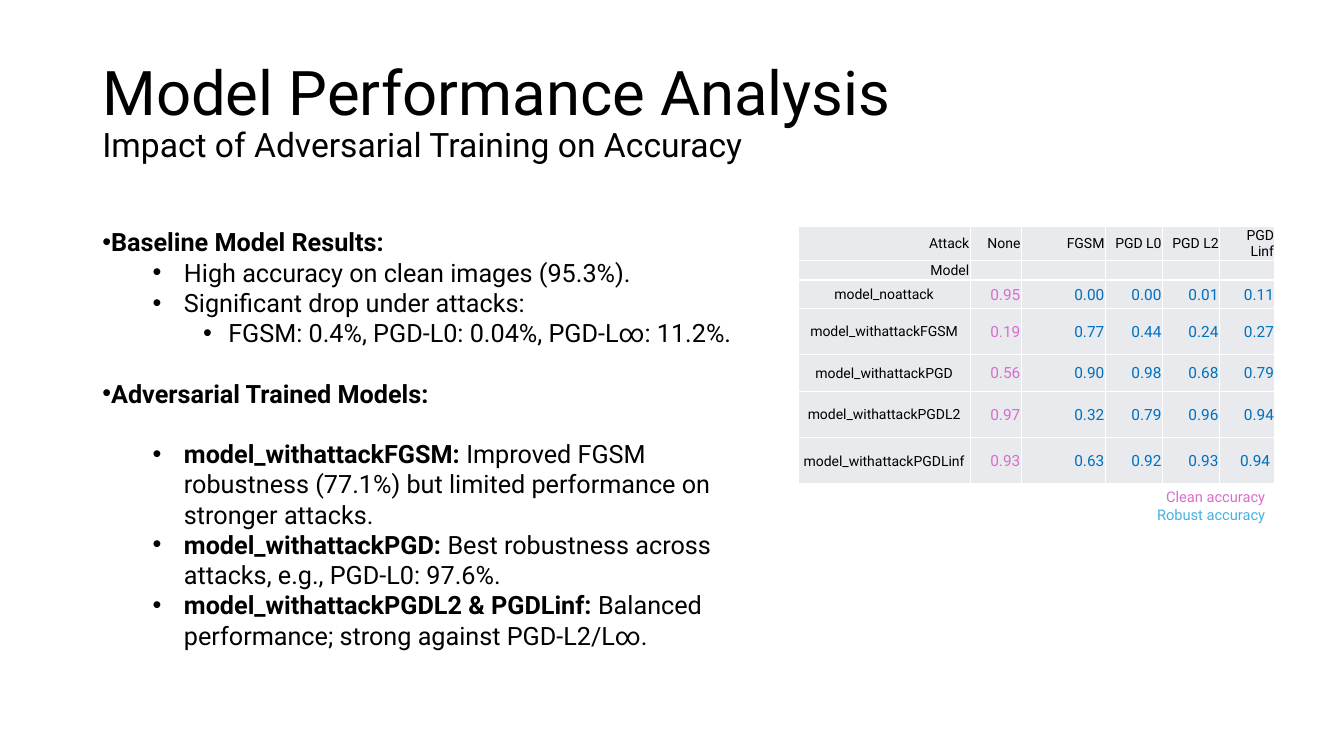
import lxml.etree
import pptx
import pptx.dml.color
import pptx.enum.text
import pptx.oxml.ns
import pptx.util

RGB = pptx.dml.color.RGBColor
ALIGN = pptx.enum.text.PP_ALIGN
ANCHOR = pptx.enum.text.MSO_ANCHOR
QN = pptx.oxml.ns.qn

BLACK = RGB(0x00, 0x00, 0x00)
WHITE = RGB(0xFF, 0xFF, 0xFF)
GREY = RGB(0xE8, 0xEA, 0xED)
PINK = RGB(0xD8, 0x6E, 0xCC)
BLUE = RGB(0x00, 0x70, 0xC0)
SKY = RGB(0x46, 0xB1, 0xE1)

# Grid of the slide
COLS, ROWS = 160, 90
LEFT, RIGHT, TOP = 11, 95, 26.4

# Left margin and first-line indent of each list level, in inches
INDENTS = [(0, 0), (0.81, -0.31), (1.25, -0.25)]

# Level, bold lead, plain text, points before, points after
POINTS = [
    (0, "Baseline Model Results:", "", 0, 0),
    (1, "", "High accuracy on clean images (95.3%).", 0, 0),
    (1, "", "Significant drop under attacks:", 0, 0),
    (2, "", "FGSM: 0.4%, PGD-L0: 0.04%, PGD-L∞: 11.2%.", 0, 0),
    (0, "Adversarial Trained Models:", "", 21.6, 21.6),
    (1, "model_withattackFGSM:", " Improved FGSM robustness (77.1%) but limited "
        "performance on stronger attacks.", 0, 0),
    (1, "model_withattackPGD:",
        " Best robustness across attacks, e.g., PGD-L0: 97.6%.", 0, 0),
    (1, "model_withattackPGDL2 & PGDLinf:",
        " Balanced performance; strong against PGD-L2/L∞.", 0, 0),
]

SCORES = [
    ["Attack", "None", "FGSM", "PGD L0", "PGD L2", "PGD Linf"],
    ["Model", "", "", "", "", ""],
    ["model_noattack", "0.95", "0.00", "0.00", "0.01", "0.11"],
    ["model_withattackFGSM", "0.19", "0.77", "0.44", "0.24", "0.27"],
    ["model_withattackPGD", "0.56", "0.90", "0.98", "0.68", "0.79"],
    ["model_withattackPGDL2", "0.97", "0.32", "0.79", "0.96", "0.94"],
    ["model_withattackPGDLinf", "0.93", "0.63", "0.92", "0.93", "0.94 "],
]
WIDTHS = [20.5, 6.1, 10, 6.8, 6.8, 6.6]
HEIGHTS = [3.4, 2.3, 3.4, 5.5, 4.4, 5.5, 5.5]


def write(para, text, size=18, color=BLACK, bold=False, font="Roboto"):
    run = para.add_run()
    run.text = text
    run.font.size = pptx.util.Pt(size)
    run.font.color.rgb = color
    run.font.bold = bold
    run.font.name = font


def bullet(para, level):
    margin, indent = INDENTS[level]
    para.level = level
    props = para._p.get_or_add_pPr()
    props.set("marL", str(pptx.util.Inches(margin)))
    props.set("indent", str(pptx.util.Inches(indent)))
    lxml.etree.SubElement(props, QN("a:buFont")).set("typeface", "Arial")
    lxml.etree.SubElement(props, QN("a:buChar")).set("char", "•")


def border(cell, color, width=1):
    props = cell._tc.get_or_add_tcPr()
    for side in ("a:lnL", "a:lnR", "a:lnT", "a:lnB"):
        line = lxml.etree.SubElement(props, QN(side))
        line.set("w", str(pptx.util.Pt(width)))
        fill = lxml.etree.SubElement(line, QN("a:solidFill"))
        lxml.etree.SubElement(fill, QN("a:srgbClr")).set("val", str(color))


class Page:
    def __init__(self, deck):
        self.unit_x = deck.slide_width / COLS
        self.unit_y = deck.slide_height / ROWS
        self.slide = deck.slides.add_slide(deck.slide_layouts[6])

    def place(self, x, y, w, h):
        """Turn grid columns and rows into slide lengths."""
        return (round(x * self.unit_x), round(y * self.unit_y),
                round(w * self.unit_x), round(h * self.unit_y))

    def frame(self, x, y, w, h, anchor=ANCHOR.TOP):
        """Add a wrapping text box and return its text frame."""
        frame = self.slide.shapes.add_textbox(*self.place(x, y, w, h)).text_frame
        frame.word_wrap = True
        frame.vertical_anchor = anchor
        return frame

    def title(self, head, sub):
        para = self.frame(LEFT, 4.8, 138, 17.4, ANCHOR.MIDDLE).paragraphs[0]
        para.line_spacing = 0.9
        write(para, head, size=44)
        para.add_line_break()
        write(para, sub, size=24)

    def points(self, items):
        frame = self.frame(LEFT, TOP, 78.7, 52.1)
        for i, (level, lead, text, before, after) in enumerate(items):
            para = frame.add_paragraph() if i else frame.paragraphs[0]
            para.space_before = pptx.util.Pt(before)
            para.space_after = pptx.util.Pt(after)
            bullet(para, level)
            if lead:
                write(para, lead, bold=True)
            if text:
                write(para, text)

    def cell(self, cell, text, row, col):
        border(cell, WHITE)
        cell.fill.solid()
        cell.fill.fore_color.rgb = GREY
        cell.vertical_anchor = ANCHOR.MIDDLE
        inset = pptx.util.Inches(0.01)
        cell.margin_left = cell.margin_right = cell.margin_top = inset
        cell.margin_bottom = 0
        para = cell.text_frame.paragraphs[0]
        para.alignment = ALIGN.CENTER if row > 1 and col == 0 else ALIGN.RIGHT
        if not text:
            lxml.etree.SubElement(para._p, QN("a:endParaRPr")).set("sz", "1000")
        elif row < 2 or col == 0:
            write(para, text, size=10)
        else:
            write(para, text, size=11, color=PINK if col == 1 else BLUE)

    def table(self, data, widths, heights):
        box = self.place(RIGHT, 26.9, sum(widths), sum(heights))
        table = self.slide.shapes.add_table(len(data), len(widths), *box).table
        table.first_row = table.horz_banding = False
        for col, width in zip(table.columns, widths):
            col.width = round(width * self.unit_x)
        for row, height in zip(table.rows, heights):
            row.height = round(height * self.unit_y)
        for r, line in enumerate(data):
            for c, text in enumerate(line):
                self.cell(table.cell(r, c), text, r, c)

    def legend(self, items):
        frame = self.frame(RIGHT, 57.5, 56.8, 5.6)
        for i, (text, color) in enumerate(items):
            para = frame.add_paragraph() if i else frame.paragraphs[0]
            para.alignment = ALIGN.RIGHT
            write(para, text, size=10.5, color=color)


def main():
    deck = pptx.Presentation()
    deck.slide_width = pptx.util.Inches(13.33)
    deck.slide_height = pptx.util.Inches(7.5)
    page = Page(deck)
    page.title("Model Performance Analysis",
               "Impact of Adversarial Training on Accuracy")
    page.points(POINTS)
    page.table(SCORES, WIDTHS, HEIGHTS)
    page.legend([("Clean accuracy", PINK), ("Robust accuracy", SKY)])
    deck.save("out.pptx")


if __name__ == "__main__":
    main()
